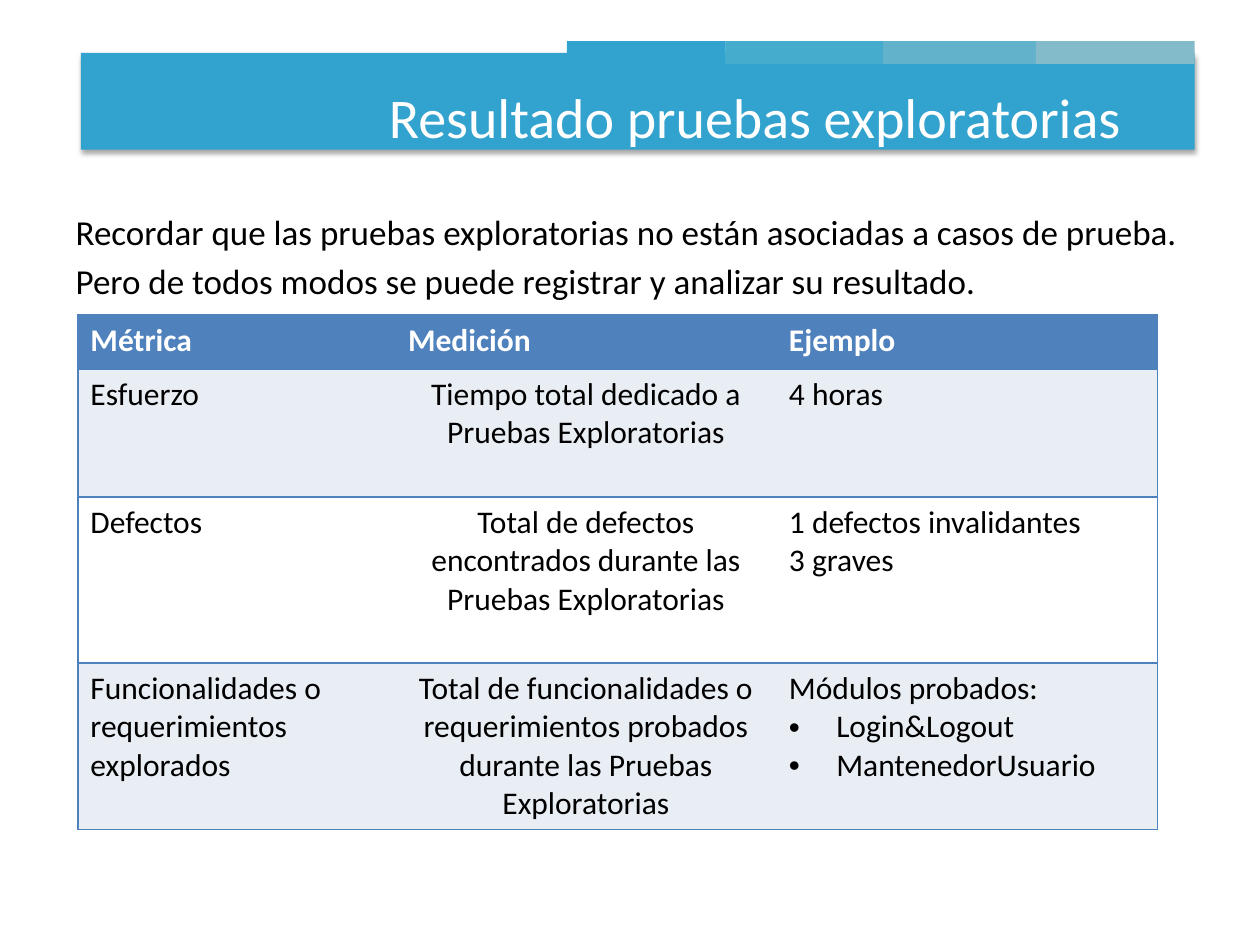
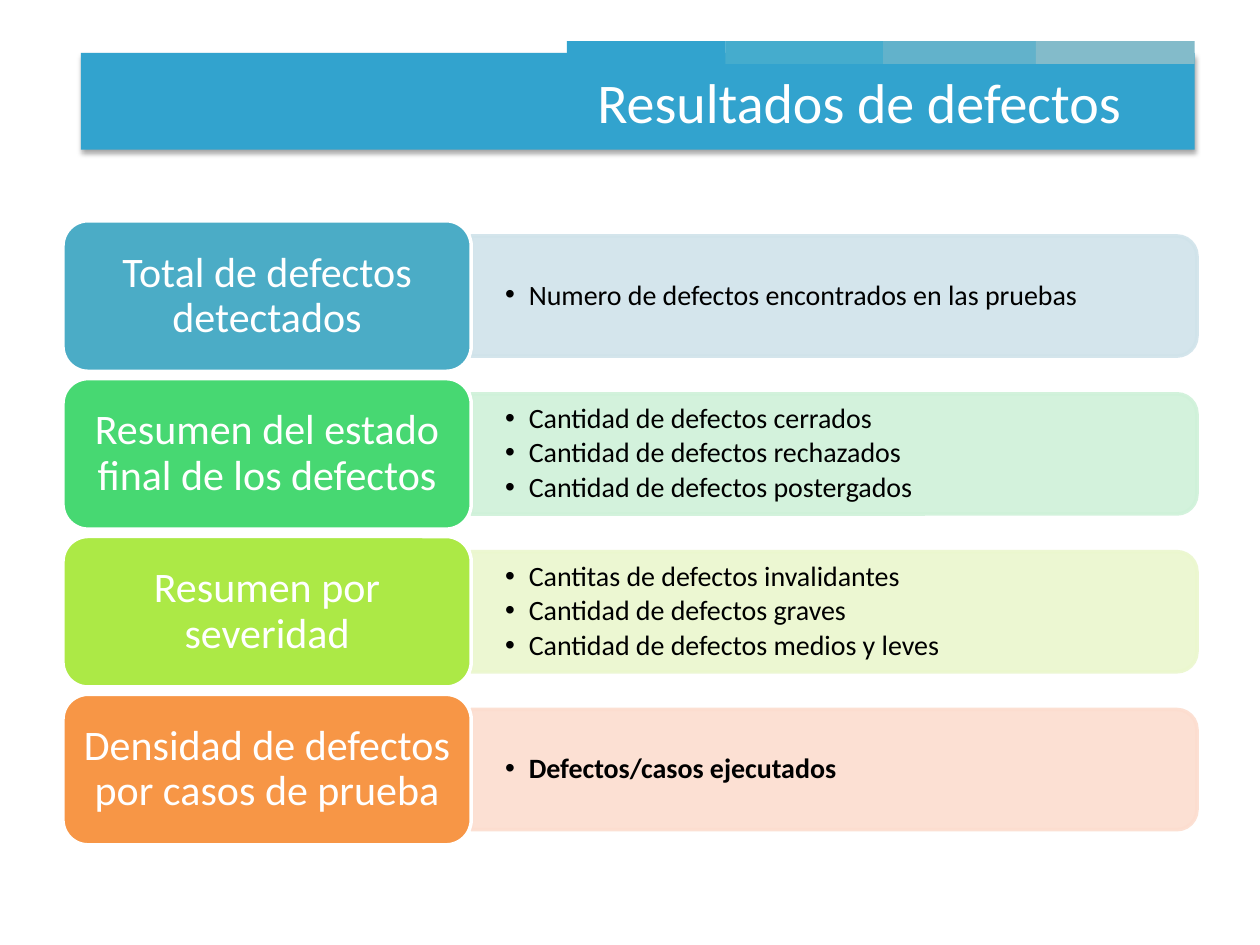
"""Build two slides on exploratory test results and defect results."""
from lxml.etree import SubElement
from pptx import Presentation
from pptx.dml.color import RGBColor
from pptx.enum.shapes import MSO_SHAPE
from pptx.enum.text import MSO_ANCHOR, MSO_AUTO_SIZE, PP_ALIGN
from pptx.oxml.ns import qn
from pptx.util import Pt

FONT = "Calibri"
COLORS = {
    "band": "32A3CE", "strip2": "45ACCD", "strip3": "62B2CB", "strip4": "83BBCA",
    "white": "FFFFFF", "black": "000000", "header": "4F81BD", "shade": "E9EDF4",
    "teal": "4BACC6", "green": "47D872", "lime": "ACE946", "orange": "F79646",
    "pale_teal": "D0E3EA", "pale_green": "CFF1D9", "pale_lime": "EBF7CE",
    "pale_orange": "FCDDCF",
}
NO_GRID_STYLE = "{2D5ABB26-0587-4C30-8999-92F81FD0307C}"


def write(p, text, size, color="black", bold=False, indent=None, bullet=""):
    if indent is not None:
        pPr = p._p.get_or_add_pPr()
        pPr.set("marL", str(Pt(indent)))
        pPr.set("indent", str(-Pt(indent)))
        if bullet:
            SubElement(pPr, qn("a:buFont"), typeface="Arial")
            SubElement(pPr, qn("a:buChar"), char=bullet)
        else:
            SubElement(pPr, qn("a:buNone"))
    r = p.add_run()
    r.text = text
    r.font.name = FONT
    r.font.size = Pt(size)
    r.font.bold = bold
    r.font.color.rgb = RGBColor.from_string(COLORS[color])


def add_box(s, kind, x, y, w, h, fill, line=None):
    sp = s.shapes.add_shape(kind, Pt(x), Pt(y), Pt(w), Pt(h))
    sp.shadow.inherit = False
    sp.fill.solid()
    sp.fill.fore_color.rgb = RGBColor.from_string(COLORS[fill])
    if line:
        sp.line.color.rgb = RGBColor.from_string(COLORS[line])
        sp.line.width = Pt(2)
    else:
        sp.line.fill.background()
    return sp


prs = Presentation()
prs.slide_width, prs.slide_height = Pt(720), Pt(540)

slides = []
for layout, title, title_top in [
    (1, "Resultado pruebas exploratorias", 21.6),
    (5, "Resultados de defectos", 13),
]:
    s = prs.slides.add_slide(prs.slide_layouts[layout])
    band = add_box(s, MSO_SHAPE.RECTANGLE, 46.2, 30.2, 636.5, 55.4, "band")
    effects = band.element.spPr.find(qn("a:effectLst"))
    shadow = SubElement(effects, qn("a:outerShdw"), blurRad=str(Pt(3.1)),
                        dist=str(Pt(1.8)), dir="5400000", rotWithShape="0")
    clr = SubElement(shadow, qn("a:srgbClr"), val=COLORS["black"])
    SubElement(clr, qn("a:alpha"), val="35000")
    for x, color in [(324, "band"), (414.5, "strip2"), (504.7, "strip3"), (592, "strip4")]:
        add_box(s, MSO_SHAPE.RECTANGLE, x, 23.5, 90.7, 13, color)

    sp = s.shapes.title
    sp.left, sp.top, sp.width, sp.height = Pt(0), Pt(title_top), Pt(648), Pt(90)
    s.shapes.element.append(sp.element)
    tf = sp.text_frame
    tf.auto_size = MSO_AUTO_SIZE.NONE
    tf.vertical_anchor = MSO_ANCHOR.MIDDLE
    p = tf.paragraphs[0]
    p.alignment = PP_ALIGN.RIGHT
    write(p, title, 32, "white")
    slides.append(s)

s = slides[0]
rows = [
    (31, "header", ["Métrica"], ["Medición"], ["Ejemplo"]),
    (73, "shade", ["Esfuerzo"], ["Tiempo total dedicado a Pruebas Exploratorias"],
     ["4 horas"]),
    (95, "white", ["Defectos"],
     ["Total de defectos encontrados durante las Pruebas Exploratorias"],
     ["1 defectos invalidantes", "3 graves"]),
    (95, "shade", ["Funcionalidades o requerimientos explorados"],
     ["Total de funcionalidades o requerimientos probados durante las Pruebas Exploratorias"],
     ["Módulos probados:", "• Login&Logout", "• MantenedorUsuario"]),
]
widths = [181.5, 217.7, 217.7]
borders = [["lnL", "lnT", "lnB"], ["lnT", "lnB"], ["lnR", "lnT", "lnB"]]
frame = s.shapes.add_table(len(rows), len(widths), Pt(44.5), Pt(180),
                           Pt(sum(widths)), Pt(sum(row[0] for row in rows)))
frame.element.xpath(".//a:tableStyleId")[0].text = NO_GRID_STYLE
table = frame.table
for col, width in zip(table.columns, widths):
    col.width = Pt(width)
for i, (height, fill, *cells) in enumerate(rows):
    table.rows[i].height = Pt(height)
    for j, lines in enumerate(cells):
        cell = table.cell(i, j)
        tcPr = cell._tc.get_or_add_tcPr()
        for side in borders[j]:
            ln = SubElement(tcPr, qn(f"a:{side}"), w=str(Pt(1)))
            SubElement(SubElement(ln, qn("a:solidFill")), qn("a:srgbClr"),
                       val=COLORS["header"])
        cell.fill.solid()
        cell.fill.fore_color.rgb = RGBColor.from_string(COLORS[fill])
        tf = cell.text_frame
        for k, text in enumerate(lines):
            p = tf.add_paragraph() if k else tf.paragraphs[0]
            if i and j == 1:
                p.alignment = PP_ALIGN.CENTER
            if text.startswith("• "):
                write(p, text[2:], 18, indent=27, bullet="•")
            else:
                write(p, text, 18, "black" if i else "white", bold=i == 0)

sp = s.placeholders[1]
sp.left, sp.top, sp.width, sp.height = Pt(36), Pt(116.6), Pt(648), Pt(75.6)
s.shapes.element.append(sp.element)
tf = sp.text_frame
tf.auto_size = MSO_AUTO_SIZE.NONE
for k, text in enumerate([
    "Recordar que las pruebas exploratorias no están asociadas a casos de prueba.",
    "Pero de todos modos se puede registrar y analizar su resultado.",
]):
    p = tf.add_paragraph() if k else tf.paragraphs[0]
    write(p, text, 20, indent=0)
    p.space_before = Pt(4 if k else 0)

s = slides[1]
metrics = [
    ("teal", "Total de defectos detectados", ["Numero de defectos encontrados en las pruebas"]),
    ("green", "Resumen del estado final de los defectos",
     ["Cantidad de defectos cerrados", "Cantidad de defectos rechazados",
      "Cantidad de defectos postergados"]),
    ("lime", "Resumen por severidad",
     ["Cantitas de defectos invalidantes", "Cantidad de defectos graves",
      "Cantidad de defectos medios y leves"]),
    ("orange", "Densidad de defectos por casos de prueba", ["Defectos/casos ejecutados"]),
]
left, label_w, label_h, pitch = 36, 233.3, 86, 90.2
bar_x, bar_w, bar_h = left + label_w, 414.7, 68.7
for i, (color, label, items) in enumerate(metrics):
    top = 126.2 + i * pitch
    mid = top + label_h / 2
    bar = add_box(s, MSO_SHAPE.ROUND_2_SAME_RECTANGLE, bar_x + (bar_w - bar_h) / 2,
                  mid - bar_w / 2, bar_h, bar_w, f"pale_{color}", f"pale_{color}")
    bar.rotation = 90
    for clr in bar.element.spPr.iter(qn("a:srgbClr")):
        SubElement(clr, qn("a:alpha"), val="90000")

    sp = s.shapes.add_textbox(Pt(bar_x), Pt(mid - 31), Pt(411), Pt(62))
    tf = sp.text_frame
    tf.word_wrap = True
    tf.vertical_anchor = MSO_ANCHOR.MIDDLE
    tf.margin_left = tf.margin_right = Pt(19.4)
    tf.margin_top = tf.margin_bottom = Pt(0)
    for k, text in enumerate(items):
        p = tf.add_paragraph() if k else tf.paragraphs[0]
        write(p, text, 16, bold=color == "orange", indent=13.5, bullet="•")
        p.line_spacing = 0.9
        p.space_before = Pt(2.4 if k else 0)

    sp = add_box(s, MSO_SHAPE.ROUNDED_RECTANGLE, left, top, label_w, label_h, color, "white")
    tf = sp.text_frame
    tf.word_wrap = True
    tf.vertical_anchor = MSO_ANCHOR.MIDDLE
    tf.margin_left = tf.margin_right = Pt(6)
    p = tf.paragraphs[0]
    p.alignment = PP_ALIGN.CENTER
    p.line_spacing = 0.9
    write(p, label, 24, "white")
s.shapes.element.append(s.shapes.title.element)

prs.save("out.pptx")
